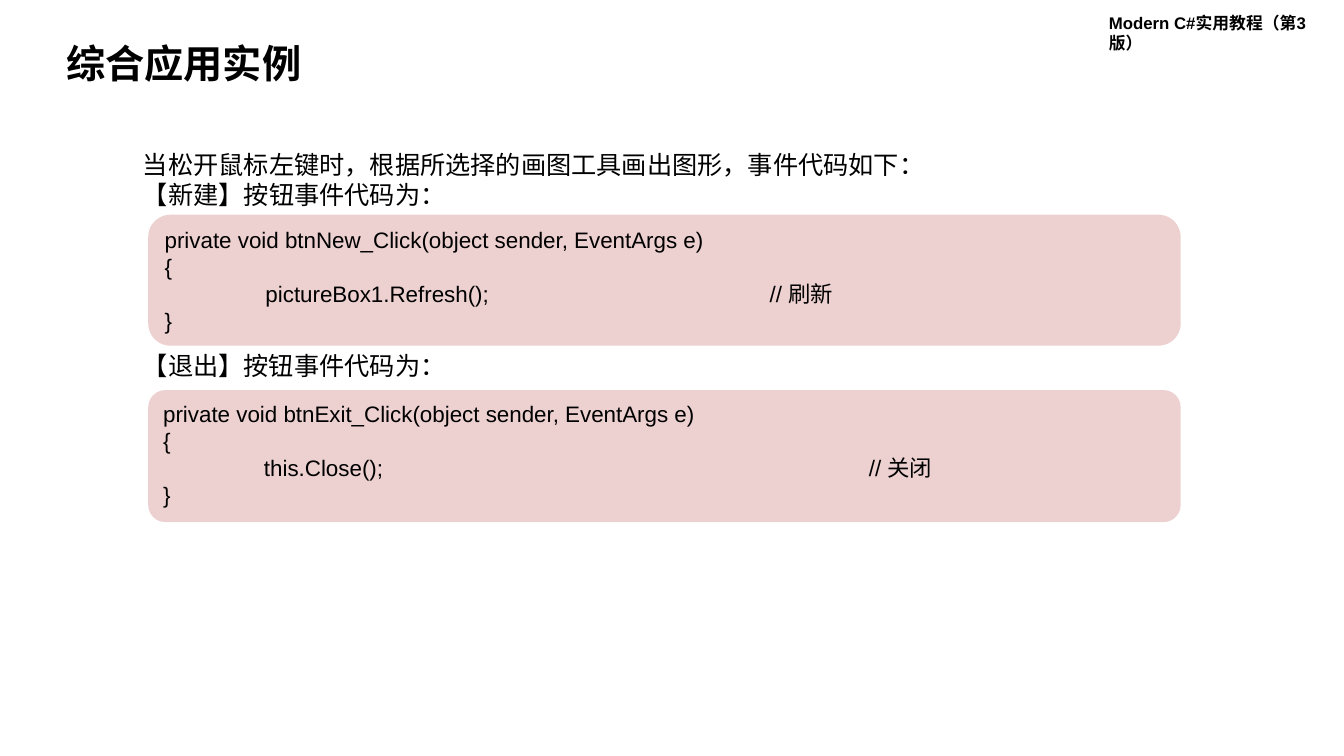
from lxml import etree
from pptx import Presentation, util as u
from pptx.dml.color import RGBColor
from pptx.enum import shapes, text
from pptx.oxml import ns

BLACK = RGBColor(0x00, 0x00, 0x00)
PINK = RGBColor(0xED, 0xD0, 0xD0)
FONT = "Arial"

deck = Presentation()
deck.slide_width = u.Inches(13.33)
deck.slide_height = u.Inches(7.5)
page = deck.slides.add_slide(deck.slide_layouts[6])
COLUMN = deck.slide_width / 100
ROW = deck.slide_height / 100

TEXT_LEFT = 9.9
CODE_LEFT, CODE_WIDTH = 11.03, 76.82
TAB_COUNT = 8


def area(left, top, width, height):
    return int(left * COLUMN), int(top * ROW), int(width * COLUMN), int(height * ROW)


def write(box, lines, size, bold=False, spacing=None, wrap=True, anchor=text.MSO_ANCHOR.TOP):
    frame = box.text_frame
    frame.word_wrap = wrap
    frame.vertical_anchor = anchor
    for index, line in enumerate(lines):
        para = frame.paragraphs[0] if index == 0 else frame.add_paragraph()
        para.alignment = text.PP_ALIGN.LEFT
        para.line_spacing = spacing
        if "\t" in line:
            tabs = etree.SubElement(para._p.get_or_add_pPr(), ns.qn("a:tabLst"))
            for stop in range(1, TAB_COUNT + 1):
                etree.SubElement(tabs, ns.qn("a:tab"), pos=str(u.Inches(stop)), algn="l")
        span = para.add_run()
        span.text = line
        span.font.name = FONT
        span.font.size = u.Pt(size)
        span.font.bold = bold
        span.font.color.rgb = BLACK


book = page.shapes.add_textbox(*area(81.77, 1.07, 18.3, 4))
write(book, ["Modern C#实用教程（第3版）"], 12, bold=True)

title = page.shapes.add_textbox(*area(4.2, 5.2, 45.31, 6.93))
write(title, ["综合应用实例"], 28, bold=True, spacing=0.9, anchor=text.MSO_ANCHOR.MIDDLE)

intro = page.shapes.add_textbox(*area(TEXT_LEFT, 19.07, 77.94, 9.47))
write(intro, ["当松开鼠标左键时，根据所选择的画图工具画出图形，事件代码如下：", "【新建】按钮事件代码为："], 18)

exit_label = page.shapes.add_textbox(*area(TEXT_LEFT, 45.73, 24.23, 5.33))
write(exit_label, ["【退出】按钮事件代码为："], 18, wrap=False)

code_panels = [
    (28.4, 17.33, 0.17, "btnNew_Click", "    \tpictureBox1.Refresh();\t\t\t// 刷新"),
    (51.6, 17.47, 0.13, "btnExit_Click", "   \tthis.Close();\t\t\t\t\t// 关闭"),
]
for top, height, corner, handler, body in code_panels:
    panel = page.shapes.add_shape(
        shapes.MSO_SHAPE.ROUNDED_RECTANGLE, *area(CODE_LEFT, top, CODE_WIDTH, height)
    )
    panel.adjustments[0] = corner
    panel.shadow.inherit = False
    panel.fill.solid()
    panel.fill.fore_color.rgb = PINK
    panel.line.fill.background()
    code = [f"private void {handler}(object sender, EventArgs e)", "{", body, "}"]
    write(panel, code, 16)

deck.save("out.pptx")
